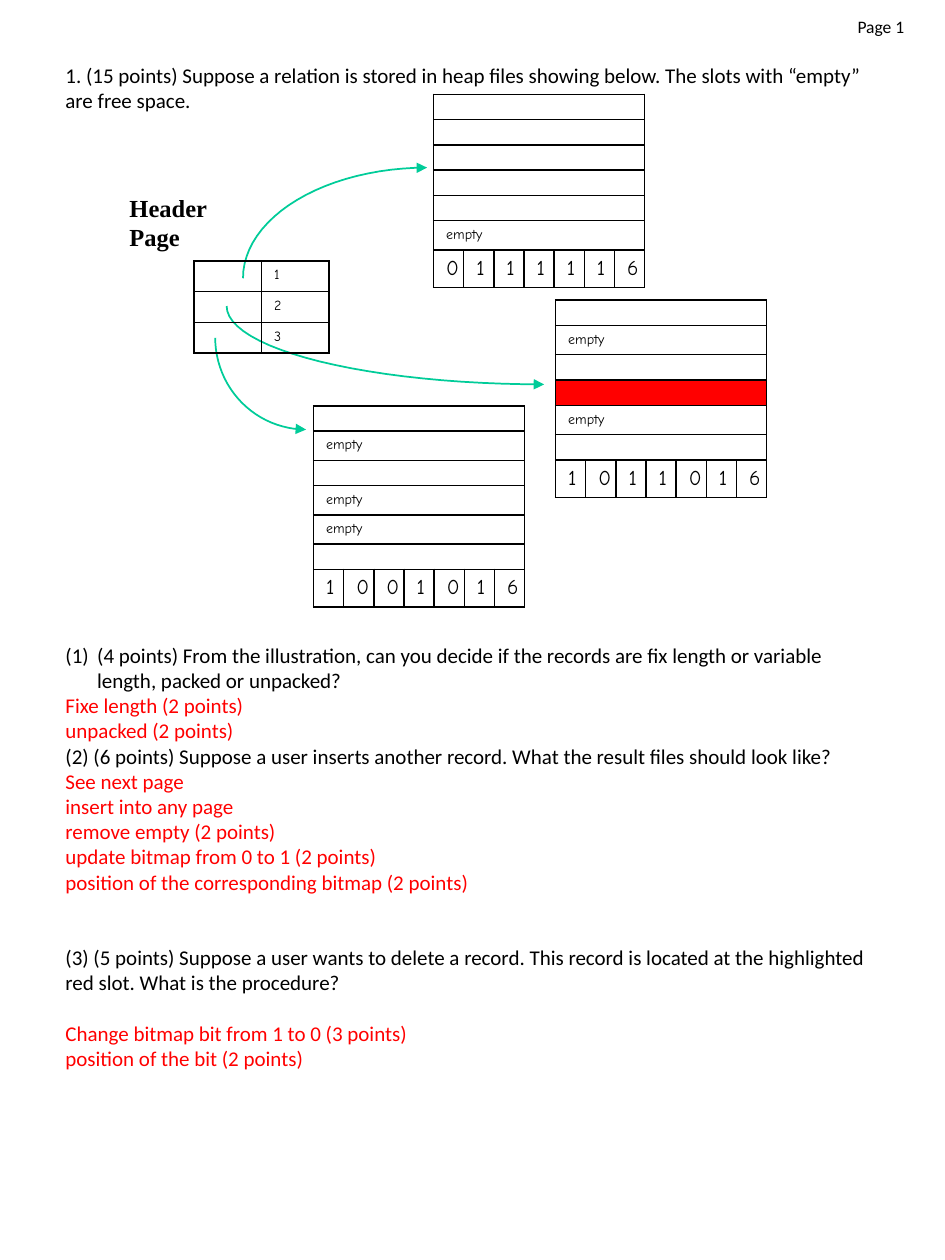
"""Build the exam page about heap files."""
import math
from dataclasses import dataclass

import lxml.etree
import pptx
import pptx.dml.color
import pptx.enum.text
import pptx.oxml.ns
import pptx.util

Cm, Pt = pptx.util.Cm, pptx.util.Pt
qn = pptx.oxml.ns.qn


@dataclass(frozen=True)
class Theme:
    """Colours, fonts and sizes of the page."""
    ink: str = "000000"
    answer: str = "FF0000"
    arrow: str = "00CC99"
    body: str = "Calibri"
    label: str = "Times New Roman"
    hand: str = "Comic Neue"
    body_size: int = 12
    label_size: int = 14
    number_size: int = 10
    slot_size: int = 8
    line_pitch: float = 14.4


THEME = Theme()
SLOT_HEIGHTS = {"": 0.51, "red": 0.51, "empty": 0.59}
BIT_WIDTH, BIT_HEIGHT = 0.6, 0.76

QUESTIONS = [
    (0, THEME.ink, "1. (15 points) Suppose a relation is stored in heap files showing below. "
                   "The slots with “empty” are free space."),
    (21, THEME.ink, "(4 points) From the illustration, can you decide if the records are fix "
                    "length or variable length, packed or unpacked?"),
    (0, THEME.answer, "Fixe length (2 points)"),
    (0, THEME.answer, "unpacked (2 points)"),
    (0, THEME.ink, "(2) (6 points) Suppose a user inserts another record. "
                   "What the result files should look like?"),
    (0, THEME.answer, "See next page"),
    (0, THEME.answer, "insert into any page"),
    (0, THEME.answer, "remove empty (2 points)"),
    (0, THEME.answer, "update bitmap from 0 to 1 (2 points)"),
    (0, THEME.answer, "position of the corresponding bitmap (2 points)"),
    (2, THEME.ink, "(3) (5 points) Suppose a user wants to delete a record. This record is "
                   "located at the highlighted red slot. What is the procedure?"),
    (1, THEME.answer, "Change bitmap bit from 1 to 0 (3 points)"),
    (0, THEME.answer, "position of the bit (2 points)"),
]
NUMBERED = 1

HEAP_PAGES = [
    ((8.74, 1.9), ["", "", "", "", "", "empty"], "0111116"),
    ((11.2, 6.05), ["", "empty", "", "red", "empty", ""], "1011016"),
    ((6.32, 8.18), ["", "empty", "", "empty", "empty", ""], "1001016"),
]
ARROWS = [
    ((4.9, 5.61), (8.61, 3.38)),
    ((4.57, 6.17), (10.97, 7.75)),
    ((4.34, 6.81), (6.17, 8.66)),
]


def rgb(value):
    """Return a colour from its hex value."""
    return pptx.dml.color.RGBColor.from_string(value)


def write(para, text, font, size, color=THEME.ink, bold=False):
    """Put one formatted span into a paragraph."""
    span = para.add_run()
    span.text = text
    for name, value in {"name": font, "size": Pt(size), "bold": bold}.items():
        setattr(span.font, name, value)
    span.font.color.rgb = rgb(color)


def add_text(page, box, lines, font, size, bold=False, wrap=False):
    """Place a text box of (blank lines above, colour, text) and return its paragraphs."""
    frame = page.shapes.add_textbox(*map(Cm, box)).text_frame
    frame.word_wrap = wrap
    frame.auto_size = pptx.enum.text.MSO_AUTO_SIZE.NONE
    for index, (gap, color, text) in enumerate(lines):
        para = frame.add_paragraph() if index else frame.paragraphs[0]
        para.space_before = Pt(gap * THEME.line_pitch)
        write(para, text, font, size, color, bold)
    return frame.paragraphs


def add_questions(page, box):
    """Place the questions with their answers."""
    paras = add_text(page, box, QUESTIONS, THEME.body, THEME.body_size, wrap=True)
    props = paras[NUMBERED]._p.get_or_add_pPr()
    for name, value in {"marL": Cm(0.64), "indent": Cm(-0.64)}.items():
        props.set(name, str(value))
    lxml.etree.SubElement(props, qn("a:buFont"), typeface="+mj-lt")
    lxml.etree.SubElement(props, qn("a:buAutoNum"), type="arabicParenBoth")


def style_cell(cell, text="", size=THEME.slot_size, fill=None):
    """Give a cell its borders, fill and text."""
    props = cell._tc.get_or_add_tcPr()
    for side in ("lnL", "lnR", "lnT", "lnB"):
        line = lxml.etree.SubElement(props, qn(f"a:{side}"), w=str(Pt(1)))
        solid = lxml.etree.SubElement(line, qn("a:solidFill"))
        lxml.etree.SubElement(solid, qn("a:srgbClr"), val=THEME.ink)
    if fill:
        cell.fill.solid()
        cell.fill.fore_color.rgb = rgb(fill)
    else:
        cell.fill.background()
    para = cell.text_frame.paragraphs[0]
    if text:
        write(para, text, THEME.hand, size)
    else:
        cell.margin_top = cell.margin_bottom = 0
        lxml.etree.SubElement(para._p, qn("a:endParaRPr"), sz=str(size * 100))


def add_grid(page, corner, widths, heights):
    """Place a plain table with the given columns and rows."""
    box = (*corner, sum(widths), sum(heights))
    table = page.shapes.add_table(len(heights), len(widths), *map(Cm, box)).table
    table.first_row = table.horz_banding = False
    for parts, name, sizes in ((table.columns, "width", widths), (table.rows, "height", heights)):
        for part, size in zip(parts, sizes):
            setattr(part, name, Cm(size))
    return table


def add_heap_page(page, corner, slots, bits):
    """Place a heap page: record slots above a bitmap row."""
    heights = [SLOT_HEIGHTS[slot] for slot in slots] + [BIT_HEIGHT]
    table = add_grid(page, corner, [BIT_WIDTH] * len(bits), heights)
    last = len(bits) - 1
    for row, slot in enumerate(slots):
        table.cell(row, 0).merge(table.cell(row, last))
        for column in range(len(bits)):
            text = slot if slot == "empty" and column == 0 else ""
            style_cell(table.cell(row, column), text, fill=THEME.answer if slot == "red" else None)
    for column, bit in enumerate(bits):
        style_cell(table.cell(len(slots), column), bit, THEME.body_size)


def add_header_page(page, corner):
    """Place the header page with its three numbered entries."""
    table = add_grid(page, corner, [1.36] * 2, [0.62] * 3)
    for row in range(3):
        style_cell(table.cell(row, 0))
        style_cell(table.cell(row, 1), str(row + 1))


def add_arrow(page, start, end, steps=24):
    """Draw a quarter ellipse that leaves upright and arrives level."""
    (left, top), (right, bottom) = start, end
    angles = [math.pi / 2 * step / steps for step in range(1, steps + 1)]
    points = [(Cm(left + (right - left) * (1 - math.cos(angle))),
               Cm(top + (bottom - top) * math.sin(angle))) for angle in angles]
    builder = page.shapes.build_freeform(Cm(left), Cm(top))
    builder.add_line_segments(points, close=False)
    curve = builder.convert_to_shape()
    curve.shadow.inherit = False
    curve.fill.background()
    curve.line.color.rgb = rgb(THEME.arrow)
    curve.line.width = Pt(1)
    lxml.etree.SubElement(curve.line._get_or_add_ln(), qn("a:tailEnd"), type="triangle")


def build():
    """Build the page and save it."""
    deck = pptx.Presentation()
    deck.slide_width, deck.slide_height = Cm(19.05), Cm(25.4)
    page = deck.slides.add_slide(deck.slide_layouts[6])
    add_questions(page, (1.07, 1.14, 16.94, 22.3))
    label = [(0, THEME.ink, word) for word in ("Header", "Page")]
    add_text(page, (2.36, 3.76, 2.08, 1.45), label, THEME.label, THEME.label_size, bold=True)
    for start, end in ARROWS:
        add_arrow(page, start, end)
    add_header_page(page, (3.91, 5.26))
    for corner, slots, bits in HEAP_PAGES:
        add_heap_page(page, corner, slots, bits)
    number = [(0, THEME.ink, "Page 1")]
    add_text(page, (17.04, 0.2, 1.47, 0.69), number, THEME.body, THEME.number_size)
    deck.save("out.pptx")


build()
